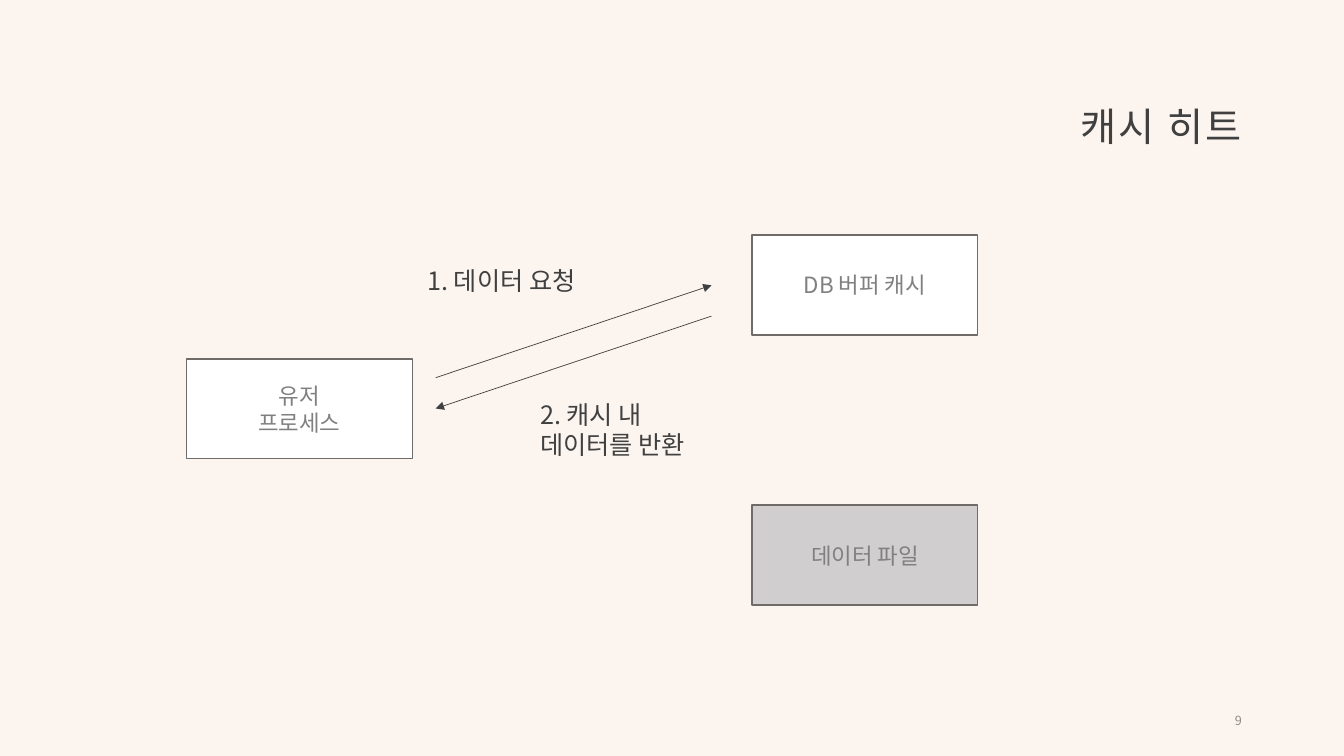
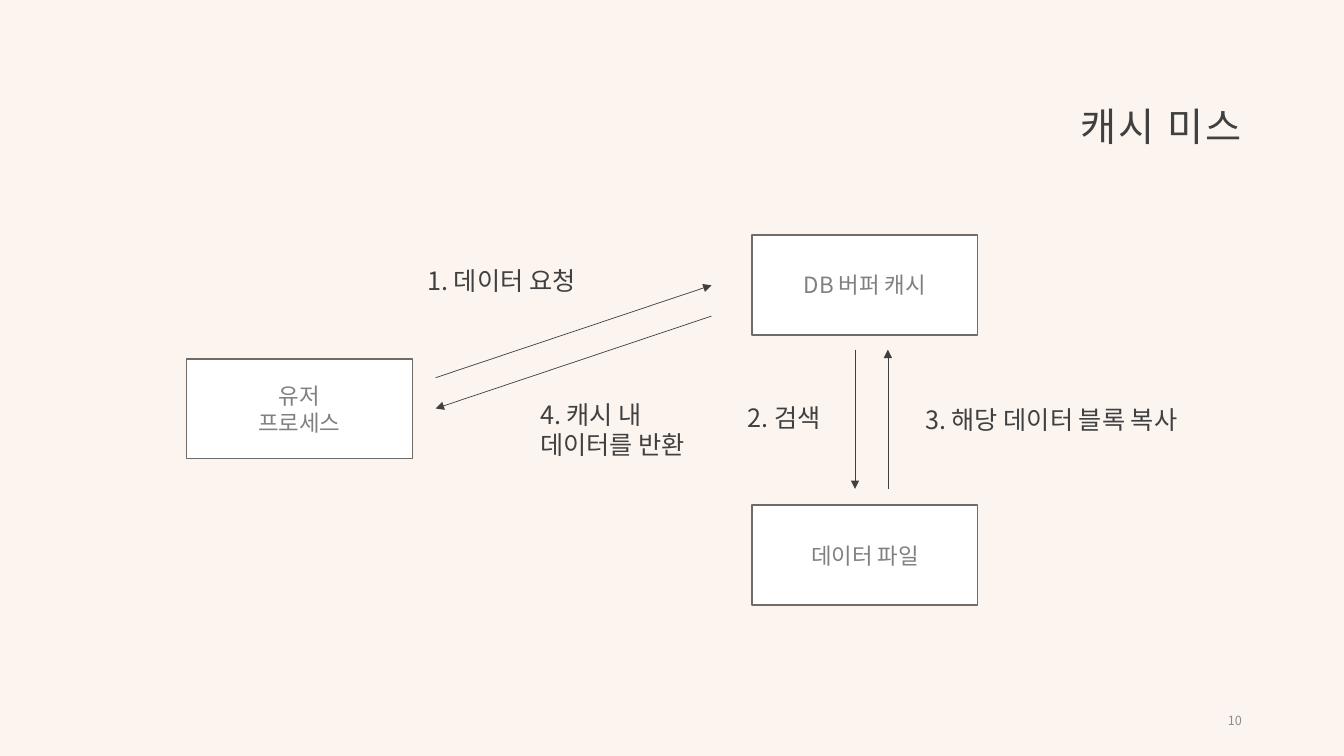
from lxml import etree
from pptx import Presentation
from pptx.dml.color import RGBColor
from pptx.enum.shapes import MSO_CONNECTOR, MSO_SHAPE
from pptx.enum.text import MSO_ANCHOR, MSO_AUTO_SIZE, PP_ALIGN
from pptx.oxml.ns import qn
from pptx.util import Pt

LEFT, CENTER, RIGHT = PP_ALIGN.LEFT, PP_ALIGN.CENTER, PP_ALIGN.RIGHT
TOP, MIDDLE = MSO_ANCHOR.TOP, MSO_ANCHOR.MIDDLE
NO_FIT, GROW = MSO_AUTO_SIZE.NONE, MSO_AUTO_SIZE.SHAPE_TO_FIT_TEXT
RECT, STRAIGHT = MSO_SHAPE.RECTANGLE, MSO_CONNECTOR.STRAIGHT

FONT = "Noto Sans CJK KR"
COLORS = {
    "background": "FBF4EF",
    "text": "404040",
    "box_text": "808080",
    "number": "8C8C8C",
    "border": "6E6B69",
    "active": "FFFFFF",
    "inactive": "D0CECE",
}
SLIDE_W, SLIDE_H = 960, 540
TITLE_BOX = (324.7, 58.3, 569.5, 67)
NUMBER_BOX = (678.2, 500.4, 216, 28.8)
DIAGRAM_ORIGIN = (133.2, 167.8)
NODE_W, NODE_H = 161.3, 71.4


def color(name):
    return RGBColor.from_string(COLORS[name])


def set_text(sp, text, size=18, fill="text", align=LEFT, anchor=TOP,
             wrap=True, fit=NO_FIT, line_spacing=None, tracking=None):
    """Fill a shape with text, one paragraph for each line."""
    tf = sp.text_frame
    tf.word_wrap, tf.auto_size, tf.vertical_anchor = wrap, fit, anchor
    for i, line in enumerate(text.split("\n")):
        p = tf.add_paragraph() if i else tf.paragraphs[0]
        p.alignment = align
        if line_spacing:
            p.line_spacing = line_spacing
        r = p.add_run()
        r.text = line
        r.font.size = Pt(size)
        r.font.color.rgb = color(fill)
        r.font.name = FONT
        rPr = r.font._element
        etree.SubElement(rPr, qn("a:ea")).set("typeface", FONT)
        if tracking:
            rPr.set("spc", str(round(tracking * 100)))


def add_label(slide, text, x, y, w, h, **fmt):
    sp = slide.shapes.add_textbox(Pt(x), Pt(y), Pt(w), Pt(h))
    set_text(sp, text, **fmt)


def add_node(slide, text, x, y, fill="active"):
    sp = slide.shapes.add_shape(RECT, Pt(x), Pt(y), Pt(NODE_W), Pt(NODE_H))
    sp.shadow.inherit = False
    sp.fill.solid()
    sp.fill.fore_color.rgb = color(fill)
    sp.line.color.rgb = color("border")
    sp.line.width = Pt(1)
    set_text(sp, text, size=16, fill="box_text", align=CENTER, anchor=MIDDLE)


def add_arrow(slide, x1, y1, x2, y2):
    line = slide.shapes.add_connector(STRAIGHT, Pt(x1), Pt(y1), Pt(x2), Pt(y2))
    line.line.color.rgb = color("text")
    line.line.width = Pt(0.5)
    etree.SubElement(line.line._get_or_add_ln(), qn("a:tailEnd")).set("type", "triangle")
    etree.SubElement(line._element.spPr, qn("a:effectLst"))


def add_frame(prs, title, number):
    """Start a slide with its title and page number."""
    slide = prs.slides.add_slide(prs.slide_layouts[5])
    sp = slide.shapes.title
    sp.left, sp.top, sp.width, sp.height = map(Pt, TITLE_BOX)
    set_text(sp, title, size=28, align=RIGHT, anchor=MIDDLE,
             line_spacing=0.9, tracking=1.5)
    add_label(slide, str(number), *NUMBER_BOX, size=9, fill="number",
              align=RIGHT, anchor=MIDDLE)
    return slide


def add_diagram(slide, left, top, miss):
    """Draw the data flow; a miss also reads the data file."""
    # Nodes
    cache_x, file_y = left + 404, top + 193
    add_node(slide, "유저\n프로세스", left, top + 88.5)
    add_node(slide, "DB 버퍼 캐시", cache_x, top)
    add_node(slide, "데이터 파일", cache_x, file_y,
             fill="active" if miss else "inactive")

    # Request and reply
    near, far = left + 178, left + 375
    add_arrow(slide, near, top + 102, far, top + 36)
    add_arrow(slide, far, top + 58, near, top + 124)
    reply_step = 4 if miss else 2
    labels = [
        ("1. 데이터 요청", 165, 18, 132.5, 28.8),
        (f"{reply_step}. 캐시 내\n데이터를 반환", 245.5, 113.7, 130.3, 51),
    ]

    # Lookup and block copy
    if miss:
        upper, lower = top + NODE_H + 10.6, file_y - 11.6
        add_arrow(slide, left + 477.5, upper, left + 477.5, lower)
        add_arrow(slide, left + 501, lower, left + 501, upper)
        labels += [
            ("3. 해당 데이터 블록 복사", 520.5, 117.3, 218.2, 28.8),
            ("2. 검색", 393.8, 116, 71.3, 28.8),
        ]
    for text, x, y, w, h in labels:
        add_label(slide, text, left + x, top + y, w, h, wrap=False, fit=GROW)


def main():
    prs = Presentation()
    prs.slide_width, prs.slide_height = Pt(SLIDE_W), Pt(SLIDE_H)
    background = prs.slide_master.background.fill
    background.solid()
    background.fore_color.rgb = color("background")

    for number, title, miss in ((9, "캐시 히트", False), (10, "캐시 미스", True)):
        slide = add_frame(prs, title, number)
        add_diagram(slide, *DIAGRAM_ORIGIN, miss=miss)
    prs.save("out.pptx")


if __name__ == "__main__":
    main()
